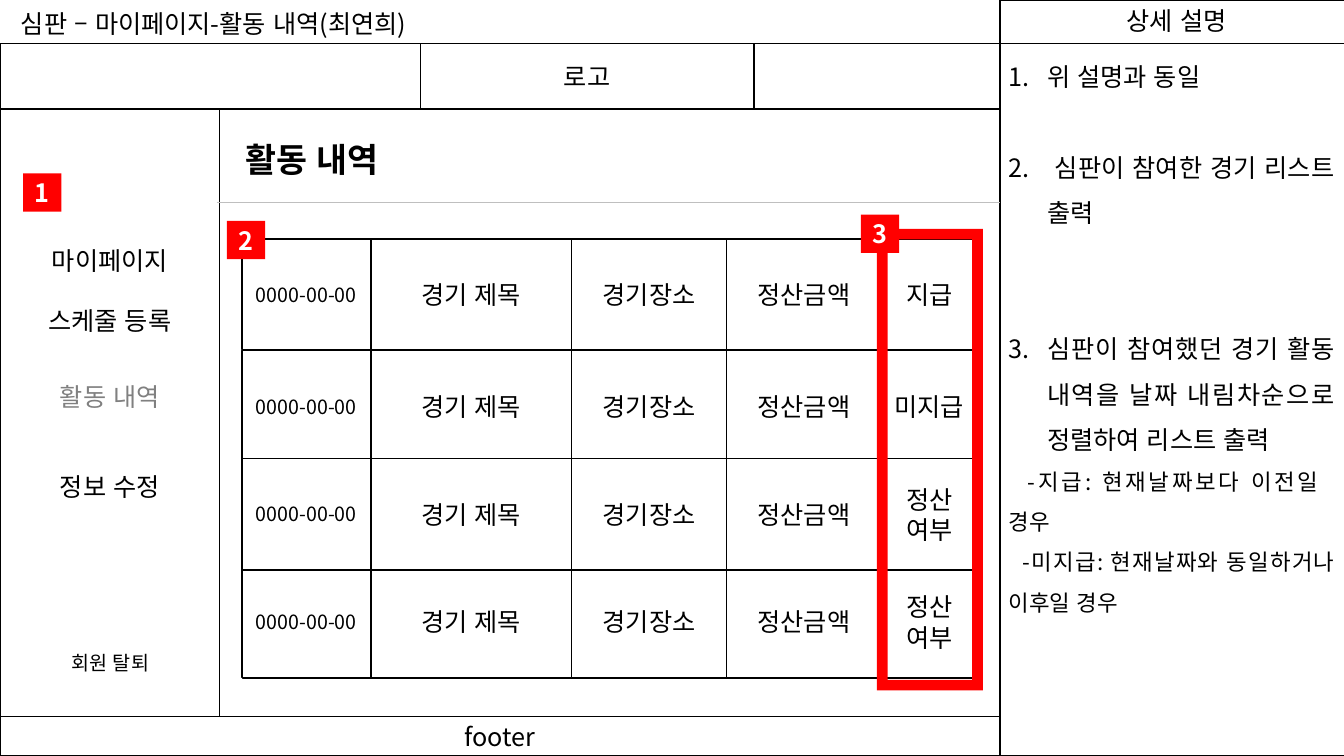
from dataclasses import dataclass, field
from itertools import accumulate
from typing import Any

from lxml.etree import SubElement
from pptx import Presentation
from pptx.dml.color import RGBColor
from pptx.enum.lang import MSO_LANGUAGE_ID
from pptx.enum.shapes import MSO_CONNECTOR, MSO_SHAPE
from pptx.enum.text import MSO_ANCHOR, PP_ALIGN
from pptx.oxml.ns import qn
from pptx.util import Inches, Pt


@dataclass(frozen=True)
class Theme:
    """Colours, type sizes and font of the wireframe."""
    face: str = "Noto Sans CJK KR"
    ink: str = "000000"
    paper: str = "FFFFFF"
    mark: str = "FF0000"
    rule: str = "BFBFBF"
    dim: str = "808080"
    small: int = 14
    note: int = 16
    body: int = 18
    head: int = 24
    line: float = 1
    thin: float = 0.75


THEME = Theme()


@dataclass(frozen=True)
class Line:
    """One paragraph and its format."""
    text: str
    size: int = THEME.body
    color: str = THEME.ink
    bold: bool = False
    num: bool = False
    left: float = 0
    first: float = 0
    right: float = 0
    form: dict[str, Any] = field(default_factory=dict)


@dataclass(frozen=True)
class Box:
    """One rectangle or text area, in inches."""
    x: float
    y: float
    w: float
    h: float
    lines: tuple[Line, ...] = ()
    fill: str | None = THEME.paper
    edge: bool = True
    wrap: bool = True


MID = {"alignment": PP_ALIGN.CENTER}
WIDE = {"alignment": PP_ALIGN.CENTER, "line_spacing": 1.5}
JUST = {"alignment": PP_ALIGN.JUSTIFY, "line_spacing": 1.5}
GAP = Pt(21.6)
STEP = Pt(32.4)


def item(text: str, gap: int = 0) -> Line:
    """Return a numbered note after a gap."""
    form = JUST | {"space_before": gap} if gap else JUST
    return Line(text, num=True, left=0.38, first=-0.38, form=form)


PANELS = (
    Box(9.92, 0.43, 3.42, 7.07),
    Box(9.92, 0, 3.42, 0.43),
    Box(0, 0.43, 2.18, 6.68, fill=None),
    Box(0, 7.11, 9.92, 0.39, (Line("footer", form=MID),)),
    Box(0, 0.43, 9.92, 0.65),
    Box(4.17, 0.43, 3.31, 0.65, (Line("로고", form=MID),)),
)
TEXTS = (
    Box(11.08, 0, 1.3, 0.4, (Line("상세 설명"),), wrap=False),
    Box(0.11, 0.03, 4.39, 0.4, (Line("심판 – 마이페이지-활동 내역(최연희)"),), wrap=False),
    Box(2.34, 1.33, 2.94, 0.5, (Line("활동 내역", THEME.head, bold=True),)),
    Box(0.61, 6.41, 1.31, 0.34, (Line("회원 탈퇴", THEME.small),)),
    Box(0.16, 2.38, 1.86, 3.07, (
        Line("마이페이지", form=MID),
        Line("스케줄 등록", form=MID | {"space_before": GAP}),
        Line("활동 내역", color=THEME.dim, form=WIDE | {"space_before": GAP}),
        Line("정보 수정", form=WIDE | {"space_before": STEP}),
    )),
    Box(9.91, 0.41, 3.43, 7.07, (
        item("위 설명과 동일"),
        item(" 심판이 참여한 경기 리스트 출력", STEP),
        item("심판이 참여했던 경기 활동 내역을 날짜 내림차순으로 정렬하여 리스트 출력", 2 * STEP),
        Line("-지급: 현재날짜보다 이전일 경우", THEME.note, first=0.19, right=0.16, form=JUST),
        Line("-미지급: 현재날짜와 동일하거나 이후일 경우", THEME.note, first=0.14, form=JUST),
    )),
)
LEFT = 2.4
COLS = (1.28, 1.99, 1.54, 1.53, 0.96)
ROWS = ((5.62, "정산\n여부"), (2.37, "지급"), (3.48, "미지급"), (4.55, "정산\n여부"))
BADGES = ((0.23, 1.72), (2.25, 2.19), (8.54, 2.13))


def write(frame: Any, lines: tuple[Line, ...]) -> None:
    """Fill a text frame with paragraphs."""
    for pos, line in enumerate(lines):
        para = frame.add_paragraph() if pos else frame.paragraphs[0]
        prop = para._p.get_or_add_pPr()
        dents = {"marL": line.left, "marR": line.right, "indent": line.first}
        for key, val in dents.items():
            prop.set(key, str(Inches(val)))
        if line.num:
            SubElement(prop, qn("a:buFont"), typeface="+mj-lt")
            SubElement(prop, qn("a:buAutoNum"), type="arabicPeriod")
        for key, val in line.form.items():
            setattr(para, key, val)
        run = para.add_run()
        run.text = line.text
        look = {"name": THEME.face, "size": Pt(line.size), "bold": line.bold,
                "language_id": MSO_LANGUAGE_ID.KOREAN}
        for key, val in look.items():
            setattr(run.font, key, val)
        run.font.color.rgb = RGBColor.from_string(line.color)
        SubElement(run._r.get_or_add_rPr(), qn("a:ea"), typeface=THEME.face)


def place(box: Box) -> tuple[int, ...]:
    """Return the box as lengths."""
    return tuple(Inches(val) for val in (box.x, box.y, box.w, box.h))


def panel(shapes: Any, box: Box, kind: MSO_SHAPE = MSO_SHAPE.RECTANGLE) -> Any:
    """Draw a filled or outlined shape with centred text."""
    shape = shapes.add_shape(kind, *place(box))
    shape.shadow.inherit = False
    if box.fill:
        shape.fill.solid()
        shape.fill.fore_color.rgb = RGBColor.from_string(box.fill)
    else:
        shape.fill.background()
    if box.edge:
        shape.line.color.rgb = RGBColor.from_string(THEME.ink)
        shape.line.width = Pt(THEME.line)
    else:
        shape.line.fill.background()
    shape.text_frame.vertical_anchor = MSO_ANCHOR.MIDDLE
    write(shape.text_frame, box.lines)
    return shape


def label(shapes: Any, box: Box) -> None:
    """Draw a text box."""
    frame = shapes.add_textbox(*place(box)).text_frame
    frame.word_wrap = box.wrap
    write(frame, box.lines)


def rule(shapes: Any, x: float, y: float, end: float) -> None:
    """Draw a level line."""
    ends = (Inches(val) for val in (x, y, end, y))
    link = shapes.add_connector(MSO_CONNECTOR.STRAIGHT, *ends)
    link.line.color.rgb = RGBColor.from_string(THEME.rule)
    link.line.width = Pt(THEME.thin)
    SubElement(link._element.spPr, qn("a:effectLst"))


def match(shapes: Any, y: float, state: str) -> None:
    """Draw one match as a group of cells."""
    group = shapes.add_group_shape().shapes
    panel(group, Box(LEFT + 0.01, y, 7.29, 1.11))
    words = ("0000-00-00", "경기 제목", "경기장소", "정산금액", state)
    edges = accumulate(COLS, initial=LEFT)
    for pos, (x, wide, word) in enumerate(zip(edges, COLS, words)):
        size = THEME.body if pos else THEME.small
        lines = tuple(Line(part, size, form=MID) for part in word.split("\n"))
        panel(group, Box(x, y, wide, 1.1, lines))


def main() -> None:
    """Build and save the slide."""
    deck = Presentation()
    deck.slide_width, deck.slide_height = Inches(40 / 3), Inches(7.5)
    shapes = deck.slides.add_slide(deck.slide_layouts[6]).shapes
    for box in PANELS:
        panel(shapes, box)
    rule(shapes, 2.15, 2.01, 9.92)
    for y, state in ROWS:
        match(shapes, y, state)
    for box in TEXTS:
        label(shapes, box)
    focus = Box(8.7, 2.27, 1.05, 4.58, fill=THEME.mark, edge=False)
    panel(shapes, focus, MSO_SHAPE.FRAME).adjustments[0] = 0.1
    for num, (x, y) in enumerate(BADGES, 1):
        text = Line(str(num), color=THEME.paper, bold=True, form=MID)
        panel(shapes, Box(x, y, 0.38, 0.38, (text,), THEME.mark, False))
    deck.save("out.pptx")


if __name__ == "__main__":
    main()
